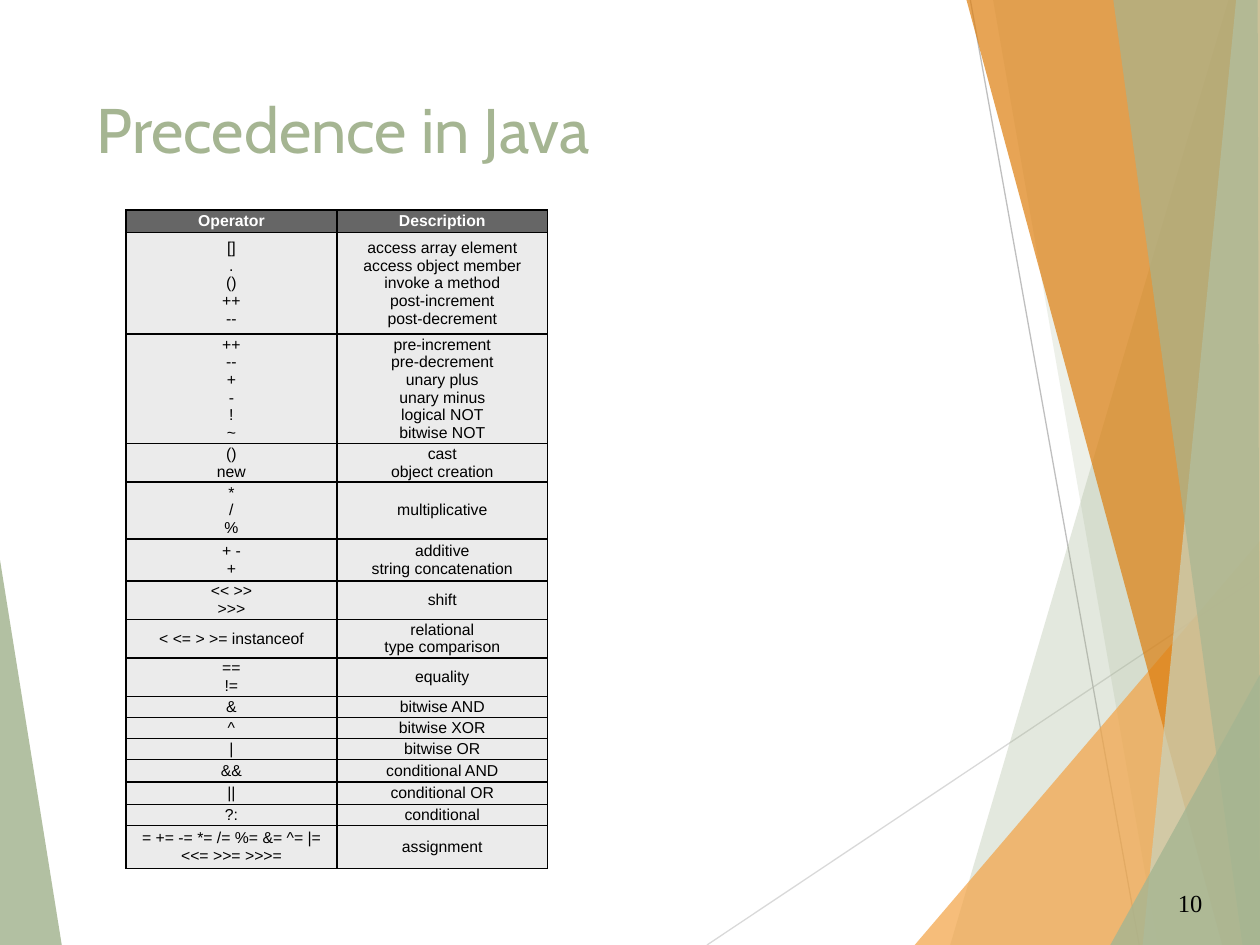
from dataclasses import dataclass

from lxml import etree
from pptx import Presentation
from pptx.dml.color import RGBColor
from pptx.enum.shapes import MSO_CONNECTOR
from pptx.enum.text import MSO_ANCHOR, MSO_AUTO_SIZE, PP_ALIGN
from pptx.oxml import parse_xml
from pptx.oxml.ns import nsdecls, qn
from pptx.util import Pt

LEFT, MID = PP_ALIGN.LEFT, PP_ALIGN.CENTER
TOP, CENTER = MSO_ANCHOR.TOP, MSO_ANCHOR.MIDDLE
NO_FIT = MSO_AUTO_SIZE.NONE
STRAIGHT = MSO_CONNECTOR.STRAIGHT


@dataclass
class Theme:
    """Colours, fonts and type sizes of the slide."""
    sage: str = "A5B592"
    pale: str = "C9D3BE"
    amber: str = "F3A447"
    rust: str = "DD7E0E"
    silver: str = "D9D9D9"
    gray: str = "BFBFBF"
    head: str = "666666"
    body: str = "EBEBEB"
    white: str = "FFFFFF"
    black: str = "000000"
    title_font: str = "Cabin"
    table_font: str = "Arial"
    page_font: str = "Times New Roman"
    title_size: int = 36
    table_size: int = 9
    page_size: int = 14


theme = Theme()


def write(para, text, font, size, color, bold=False):
    """Add text to a paragraph, one run a line."""
    for i, line in enumerate(text.split("\n")):
        if i:
            para.add_line_break()
        run = para.add_run()
        run.text = line
        run.font.name, run.font.size, run.font.bold = font, Pt(size), bold
        run.font.color.rgb = RGBColor.from_string(color)


def edge(cell, color, width):
    """Draw a line on all four sides of a cell."""
    props = cell._tc.get_or_add_tcPr()
    for side in ("lnL", "lnR", "lnT", "lnB"):
        props.append(parse_xml(
            f'<a:{side} {nsdecls("a")} w="{Pt(width)}"><a:solidFill>'
            f'<a:srgbClr val="{color}"/></a:solidFill></a:{side}>'))


deck = Presentation()
deck.slide_width, deck.slide_height = Pt(720), Pt(540)
slide = deck.slides.add_slide(deck.slide_layouts[5])
shapes = slide.shapes

# Thin lines behind the shards
for color, x1, y1, x2, y2 in [
    (theme.silver, 404, 540, 720, 329),
    (theme.gray, 554.5, 0, 651, 540),
]:
    line = shapes.add_connector(STRAIGHT, Pt(x1), Pt(y1), Pt(x2), Pt(y2))
    line.line.color.rgb = RGBColor.from_string(color)
    line.line.width = Pt(0.75)
    etree.SubElement(line._element.spPr, qn("a:effectLst"))

# Shards: colour, opacity in percent, corners
shards = [
    (theme.sage, 85, [(0, 320), (35.3, 540), (0, 540)]),
    (theme.sage, 30, [(702, 0), (543, 540), (720, 540), (720, 0)]),
    (theme.sage, 20, [(567.5, 0), (661.5, 540), (720, 540), (720, 0)]),
    (theme.amber, 72, [(522.7, 540), (720, 309), (720, 540)]),
    (theme.rust, 70, [(552.3, 0), (698.4, 540), (720, 540), (720, 0)]),
    (theme.pale, 70, [(706.4, 0), (653, 540), (720, 540), (720, 0)]),
    (theme.sage, 65, [(636.2, 0), (710, 540), (720, 540), (718.7, 0)]),
    (theme.sage, 80, [(634.5, 540), (720, 385.5), (720, 540)]),
]
for color, alpha, points in shards:
    spots = [(Pt(x), Pt(y)) for x, y in points]
    pen = shapes.build_freeform(*spots[0])
    pen.add_line_segments(spots[1:], close=True)
    shard = pen.convert_to_shape()
    shard.shadow.inherit = False
    shard.line.fill.background()
    shard.fill.solid()
    shard.fill.fore_color.rgb = RGBColor.from_string(color)
    tint = shard._element.spPr.find(qn("a:solidFill"))[0]
    etree.SubElement(tint, qn("a:alpha"), val=str(alpha * 1000))

# Title
title = shapes.title
title.left, title.top, title.width, title.height = Pt(48), Pt(48), Pt(500), Pt(104)
frame = title.text_frame
frame.auto_size, frame.vertical_anchor = NO_FIT, TOP
frame.paragraphs[0].alignment = LEFT
write(frame.paragraphs[0], "Precedence in Java",
      theme.title_font, theme.title_size, theme.sage)

# Table rows: height, operators, description
rows = [
    (13, "Operator", "Description"),
    (58, "[]\n.\n()\n++\n--",
     "access array element\naccess object member\ninvoke a method\n"
     "post-increment\npost-decrement"),
    (62.5, "++\n--\n+\n-\n!\n~",
     "pre-increment\npre-decrement\nunary plus\nunary minus\n"
     "logical NOT\nbitwise NOT"),
    (22, "()\nnew", "cast\nobject creation"),
    (32.5, "*\n/\n%", "multiplicative"),
    (24, "+ -\n+", "additive\nstring concatenation"),
    (22, "<< >>\n>>>", "shift"),
    (22, "< <= > >= instanceof", "relational\ntype comparison"),
    (22, "==\n!=", "equality"),
    (12, "&", "bitwise AND"),
    (12, "^", "bitwise XOR"),
    (12, "|", "bitwise OR"),
    (13, "&&", "conditional AND"),
    (13, "||", "conditional OR"),
    (12, "?:", "conditional"),
    (24.5, "= += -= *= /= %= &= ^= |= <<= >>= >>>=", "assignment"),
]
total = sum(row[0] for row in rows)
table = shapes.add_table(len(rows), 2, Pt(72), Pt(120), Pt(241), Pt(total)).table
for column in table.columns:
    column.width = Pt(120.5)
for r, (height, *texts) in enumerate(rows):
    table.rows[r].height = Pt(height)
    fill, ink = (theme.body, theme.black) if r else (theme.head, theme.white)
    for c, text in enumerate(texts):
        cell = table.cell(r, c)
        cell.margin_left = cell.margin_right = Pt(2)
        cell.margin_top = cell.margin_bottom = Pt(0.75)
        cell.vertical_anchor = CENTER
        edge(cell, theme.black, 1)
        cell.fill.solid()
        cell.fill.fore_color.rgb = RGBColor.from_string(fill)
        para = cell.text_frame.paragraphs[0]
        para.alignment = MID
        write(para, text, theme.table_font, theme.table_size, ink, r == 0)

# Page number
page = shapes.add_textbox(Pt(666), Pt(504), Pt(36), Pt(24)).text_frame
page.word_wrap = True
write(page.paragraphs[0], "10", theme.page_font, theme.page_size, theme.black)

deck.save("out.pptx")
